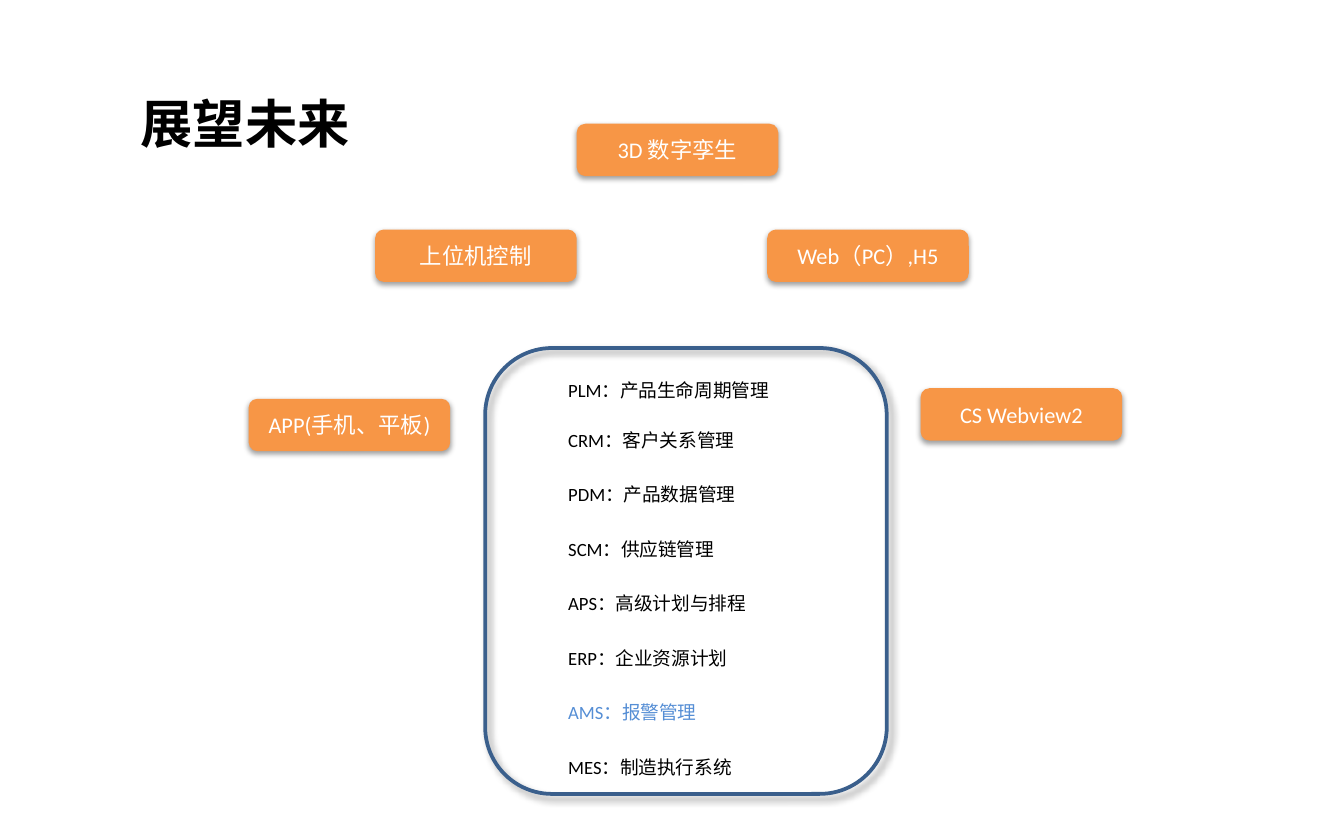
"""Build the outlook slide: client channels arranged around a list of management systems."""
from dataclasses import dataclass

from lxml.etree import SubElement
from pptx import Presentation
from pptx.dml.color import RGBColor
from pptx.enum.shapes import MSO_SHAPE
from pptx.enum.text import MSO_ANCHOR, PP_ALIGN
from pptx.oxml.ns import qn
from pptx.util import Cm, Pt


@dataclass(frozen=True)
class Theme:
    font: str = "Calibri"
    ink: str = "000000"
    white: str = "FFFFFF"
    orange: str = "F79646"
    navy: str = "3A5F8C"
    accent: str = "558ED5"
    title: int = 28
    label: int = 12
    item: int = 10


theme = Theme()


def write(sp, text, size, color=theme.ink, bold=False, align=PP_ALIGN.LEFT, anchor=MSO_ANCHOR.TOP):
    tf = sp.text_frame
    tf.word_wrap = True
    tf.vertical_anchor = anchor
    p = tf.paragraphs[0]
    p.alignment = align
    r = p.add_run()
    r.text = text
    r.font.name = theme.font
    r.font.size = Pt(size)
    r.font.bold = bold
    r.font.color.rgb = RGBColor.from_string(color)


def add_shadow(sp, blur, dist, angle, alpha):
    sp.shadow.inherit = False
    effects = sp.element.spPr.find(qn("a:effectLst"))
    shadow = SubElement(effects, qn("a:outerShdw"), blurRad=str(Pt(blur)), dist=str(Pt(dist)),
                        dir=str(angle * 60000), rotWithShape="0")
    clr = SubElement(shadow, qn("a:srgbClr"), val=theme.ink)
    SubElement(clr, qn("a:alpha"), val=str(alpha * 1000))


prs = Presentation()
prs.slide_width, prs.slide_height = Cm(25.4), Cm(15.88)
s = prs.slides.add_slide(prs.slide_layouts[6])

title = s.shapes.add_textbox(Cm(2.41), Cm(1.6), Cm(18.9), Cm(1.07))
write(title, "展望未来", theme.title, bold=True)

channels = [
    ("APP(手机、平板)", 4.7, 7.54),
    ("上位机控制", 7.09, 4.34),
    ("3D 数字孪生", 10.9, 2.34),
    ("Web（PC）,H5", 14.5, 4.34),
    ("CS Webview2", 17.4, 7.34),
]
for text, left, top in channels:
    sp = s.shapes.add_shape(MSO_SHAPE.ROUNDED_RECTANGLE, Cm(left), Cm(top), Cm(3.81), Cm(0.99))
    sp.fill.solid()
    sp.fill.fore_color.rgb = RGBColor.from_string(theme.orange)
    sp.line.fill.background()
    add_shadow(sp, blur=3.1, dist=1.6, angle=90, alpha=38)
    write(sp, text, theme.label, color=theme.white, align=PP_ALIGN.CENTER, anchor=MSO_ANCHOR.MIDDLE)

frame = s.shapes.add_shape(MSO_SHAPE.ROUNDED_RECTANGLE, Cm(9.17), Cm(6.58), Cm(7.59), Cm(8.43))
frame.fill.background()
frame.line.color.rgb = RGBColor.from_string(theme.navy)
frame.line.width = Pt(2)
add_shadow(frame, blur=4, dist=3, angle=45, alpha=40)

first_top, second_top, pitch = 7.04, 7.98, 1.03
systems = [
    "PLM：产品生命周期管理",
    "CRM：客户关系管理",
    "PDM：产品数据管理",
    "SCM：供应链管理",
    "APS：高级计划与排程",
    "ERP：企业资源计划",
    "AMS：报警管理",
    "MES：制造执行系统",
]
for i, text in enumerate(systems):
    top = second_top + (i - 1) * pitch if i else first_top
    item = s.shapes.add_textbox(Cm(10.49), Cm(top), Cm(5.2), Cm(0.69))
    write(item, text, theme.item, color=theme.accent if text.startswith("AMS") else theme.ink)

prs.save("out.pptx")
